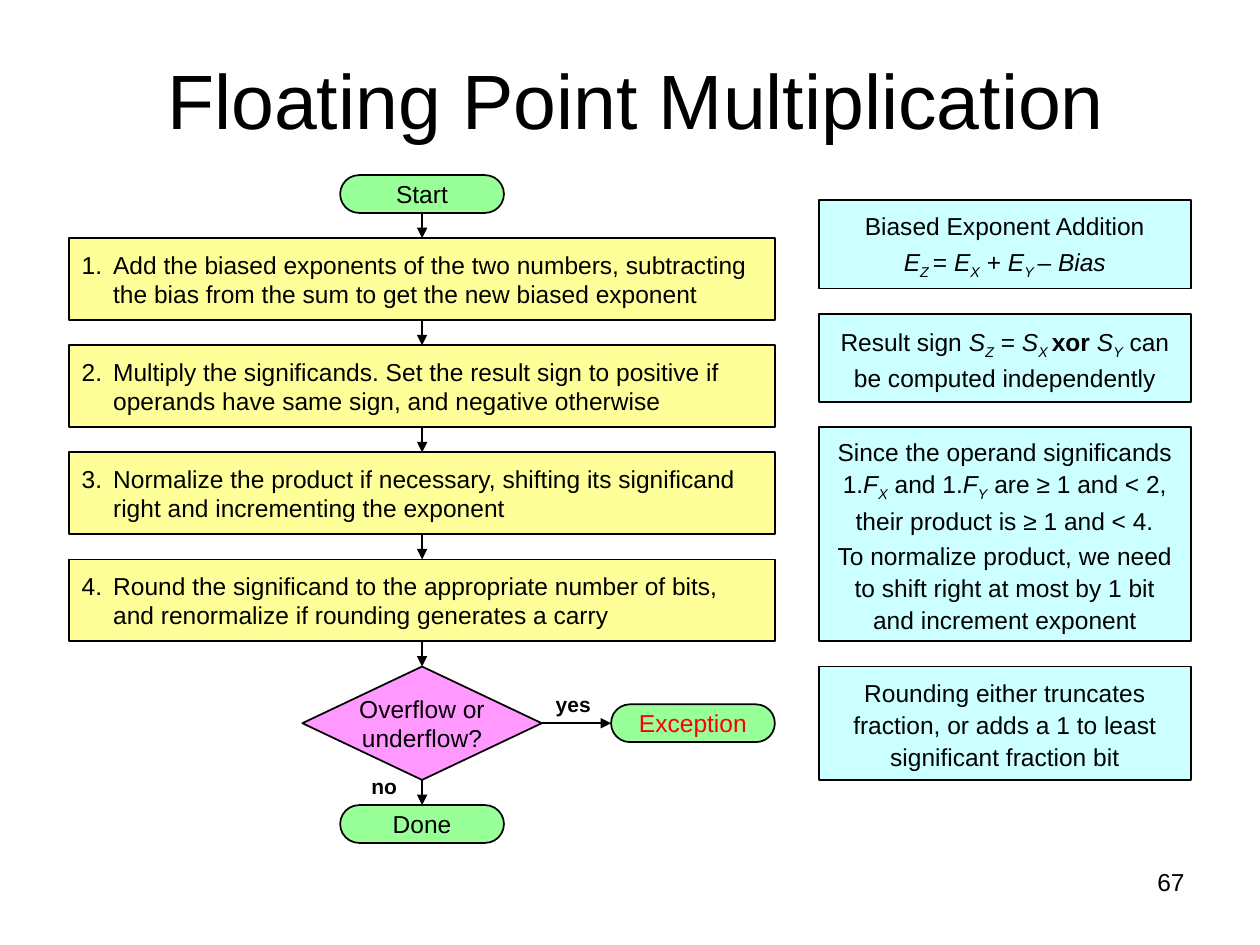
import pptx
import pptx.util
import pptx.dml.color
import pptx.enum.shapes
import pptx.enum.text
import pptx.oxml.ns
from lxml import etree

Inches, Pt = pptx.util.Inches, pptx.util.Pt
RGBColor = pptx.dml.color.RGBColor
SHAPE = pptx.enum.shapes.MSO_SHAPE
ALIGN = pptx.enum.text.PP_ALIGN
ANCHOR = pptx.enum.text.MSO_ANCHOR
qn = pptx.oxml.ns.qn

BLACK = RGBColor(0x00, 0x00, 0x00)
RED = RGBColor(0xFF, 0x00, 0x00)
YELLOW = RGBColor(0xFF, 0xFF, 0x99)
GREEN = RGBColor(0x99, 0xFF, 0x99)
PINK = RGBColor(0xFF, 0x99, 0xFF)
CYAN = RGBColor(0xCC, 0xFF, 0xFF)

prs = pptx.Presentation()
prs.slide_width, prs.slide_height = Inches(10), Inches(7.5)
s = prs.slides.add_slide(prs.slide_layouts[5])


def add_box(kind, x, y, w, h, fill, paragraphs, align=ALIGN.CENTER, color=BLACK):
    """Outlined shape; each paragraph is a list of (text, style), where style
    holds i for italic, b for bold and s for subscript."""
    sp = s.shapes.add_shape(kind, Inches(x), Inches(y), Inches(w), Inches(h))
    sp.shadow.inherit = False
    sp.fill.solid()
    sp.fill.fore_color.rgb = fill
    sp.line.color.rgb = BLACK
    sp.line.width = Pt(1)
    tf = sp.text_frame
    tf.word_wrap = kind == SHAPE.RECTANGLE
    tf.margin_top = tf.margin_bottom = 0
    tf.vertical_anchor = ANCHOR.MIDDLE
    for i, runs in enumerate(paragraphs):
        p = tf.add_paragraph() if i else tf.paragraphs[0]
        p.alignment = align
        p.font.name, p.font.size = "Arial", Pt(14)
        p.font.color.rgb = color
        for text, style in runs:
            r = p.add_run()
            r.text = text
            if "i" in style:
                r.font.italic = True
            if "b" in style:
                r.font.bold = True
            if "s" in style:
                r.font._element.set("baseline", "-25000")
    return sp


def add_arrow(x1, y1, x2, y2):
    c = s.shapes.add_connector(pptx.enum.shapes.MSO_CONNECTOR.STRAIGHT,
                               Inches(x1), Inches(y1), Inches(x2), Inches(y2))
    c.line.color.rgb = BLACK
    c.line.width = Pt(1)
    etree.SubElement(c.line._get_or_add_ln(), qn("a:tailEnd"), type="triangle")
    etree.SubElement(c._element.spPr, qn("a:effectLst"))


# Title
title = s.shapes.title
title.left, title.top = Inches(0.55), Inches(0.16)
title.width, title.height = Inches(9), Inches(1.25)
title.text_frame.text = "Floating Point Multiplication"
title.text_frame.vertical_anchor = ANCHOR.MIDDLE
p = title.text_frame.paragraphs[0]
p.alignment = ALIGN.CENTER
p.font.name, p.font.size = "Arial", Pt(44)
p.font.color.rgb = BLACK

# Flowchart arrows
CENTER, GAP, PITCH = 3.35, 0.2, 0.85
for y in [1.69 + PITCH * i for i in range(5)] + [6.19]:
    add_arrow(CENTER, y, CENTER, y + GAP)
add_arrow(4.3, 5.74, 4.85, 5.74)

# Numbered steps
steps = [
    "Add the biased exponents of the two numbers, subtracting the bias from the sum to get the new biased exponent",
    "Multiply the significands. Set the result sign to positive if operands have same sign, and negative otherwise",
    "Normalize the product if necessary, shifting its significand right and incrementing the exponent",
    "Round the significand to the appropriate number of bits, and renormalize if rounding generates a carry",
]
for i, step in enumerate(steps):
    sp = add_box(SHAPE.RECTANGLE, 0.55, 1.89 + PITCH * i, 5.6, 0.65, YELLOW,
                 [[(step, "")]], ALIGN.LEFT)
    pPr = sp.text_frame.paragraphs[0]._p.get_or_add_pPr()
    pPr.set("marL", str(Inches(0.25)))
    pPr.set("indent", str(-Inches(0.25)))
    number = etree.Element(qn("a:buAutoNum"), type="arabicPeriod", startAt=str(i + 1))
    pPr.insert(0, number)

# Terminals and decision
for text, x, y, color in [("Start", 2.7, 1.39, BLACK), ("Done", 2.7, 6.39, BLACK),
                          ("Exception", 4.85, 5.59, RED)]:
    sp = add_box(SHAPE.ROUNDED_RECTANGLE, x, y, 1.3, 0.3, GREEN, [[(text, "")]], color=color)
    sp.adjustments[0] = 0.5
add_box(SHAPE.DIAMOND, 2.4, 5.29, 1.9, 0.9, PINK,
        [[("Overflow or", "")], [("underflow?", "")]])

# Explanatory panels
panels = [
    (1.59, 0.7, [
        [("Biased Exponent Addition", "")],
        [("E", "i"), ("Z ", "is"), ("= ", ""), ("E", "i"), ("X", "is"), (" + ", ""),
         ("E", "i"), ("Y ", "is"), ("– ", ""), ("Bias", "i")]]),
    (2.49, 0.7, [
        [("Result sign ", ""), ("S", "i"), ("Z", "is"), (" = ", ""), ("S", "i"), ("X ", "is"),
         ("xor ", "b"), ("S", "i"), ("Y", "is"), (" can be computed independently", "")]]),
    (3.39, 1.7, [
        [("Since the operand significands 1.", ""), ("F", "i"), ("X", "is"), (" and 1.", ""),
         ("F", "i"), ("Y", "is"), (" are ≥ 1 and < 2, their product is ≥ 1 and < 4.", "")],
        [("To normalize product, we need to shift right at most by 1 bit and increment exponent", "")]]),
    (5.29, 0.9, [
        [("Rounding either truncates fraction, or adds a 1 to least significant fraction bit", "")]]),
]
for y, h, paragraphs in panels:
    sp = add_box(SHAPE.RECTANGLE, 6.5, y, 2.95, h, CYAN, paragraphs)
    for i, p in enumerate(sp.text_frame.paragraphs):
        p.line_spacing = 1.1
        if i:
            p.space_before = Pt(1.5)

# Branch labels and page number
for text, x, y, w, h, size, bold, align, anchor, margin in [
        ("yes", 4.3, 5.49, 0.5, 0.2, 12, True, ALIGN.CENTER, ANCHOR.BOTTOM, 0),
        ("no", 2.8, 6.14, 0.5, 0.2, 12, True, ALIGN.CENTER, ANCHOR.BOTTOM, 0),
        ("67", 7.17, 6.83, 2.33, 0.52, 14, False, ALIGN.RIGHT, ANCHOR.TOP, 0.1)]:
    tf = s.shapes.add_textbox(Inches(x), Inches(y), Inches(w), Inches(h)).text_frame
    tf.word_wrap = True
    tf.margin_left = tf.margin_right = Inches(margin)
    tf.margin_top = tf.margin_bottom = Inches(margin / 2)
    tf.vertical_anchor = anchor
    p = tf.paragraphs[0]
    p.text = text
    p.alignment = align
    p.font.name, p.font.size, p.font.bold = "Arial", Pt(size), bold
    p.font.color.rgb = BLACK

prs.save("out.pptx")
